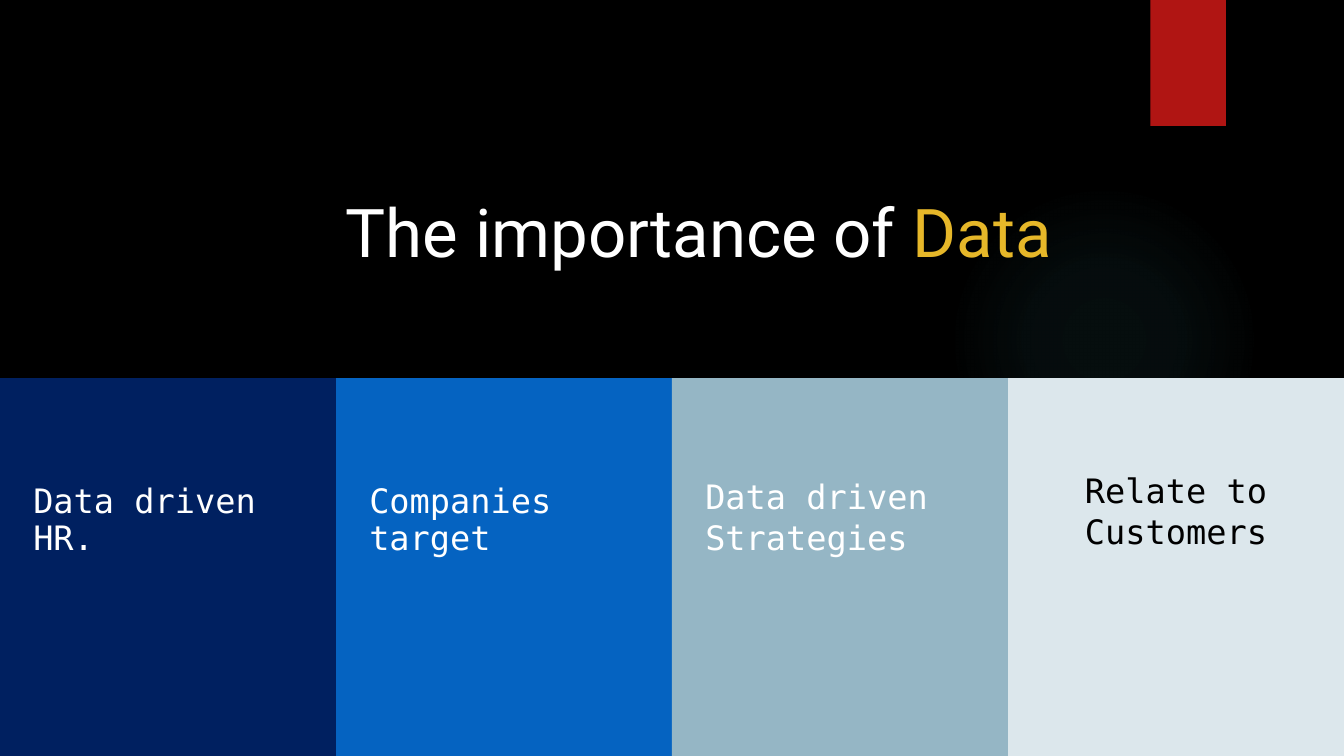
from pptx import Presentation
from pptx.dml.color import RGBColor
from pptx.enum.shapes import MSO_SHAPE
from pptx.enum.text import MSO_ANCHOR, PP_ALIGN
from pptx.oxml import parse_xml
from pptx.oxml.ns import nsdecls
from pptx.util import Inches, Pt

WIDTH, HEIGHT = 13.33, 7.5
# Panel text, fill, text colour, alignment, top inset, line pitch in points
PANELS = [
    ("Data driven HR.", "002060", "FFFFFF", PP_ALIGN.LEFT, 1.04, 26.4),
    ("Companies target", "0563C1", "FFFFFF", PP_ALIGN.LEFT, 1.04, 26.4),
    ("Data driven Strategies", "95B6C5", "FFFFFF", PP_ALIGN.LEFT, 0.96, 29.3),
    ("Relate to Customers", "DCE7EC", "000000", PP_ALIGN.CENTER, 0.9, 29.3),
]


def paint(fill, color):
    fill.solid()
    fill.fore_color.rgb = RGBColor.from_string(color)


def style(run, font, size, color):
    run.font.name = font
    run.font.size = Pt(size)
    paint(run.font.fill, color)


def add_block(slide, kind, box, color):
    shape = slide.shapes.add_shape(kind, *map(Inches, box))
    shape.shadow.inherit = False
    shape.line.fill.background()
    paint(shape.fill, color)
    return shape


def add_glow(slide, box):
    glow = add_block(slide, MSO_SHAPE.OVAL, box, "50B9C1")
    stops = "".join(
        f'<a:gs pos="{pos * 1000}"><a:srgbClr val="50B9C1">'
        f'<a:alpha val="{alpha * 1000}"/></a:srgbClr></a:gs>'
        for pos, alpha in [(0, 7), (36, 6), (69, 0)]
    )
    grad = parse_xml(
        f'<a:gradFill {nsdecls("a")}><a:gsLst>{stops}</a:gsLst><a:path path="circle">'
        '<a:fillToRect l="50000" t="50000" r="50000" b="50000"/></a:path></a:gradFill>'
    )
    props = glow.element.spPr
    props.replace(props.find("{*}solidFill"), grad)


def add_title(slide, box):
    title = slide.shapes.title
    title.left, title.top, title.width, title.height = map(Inches, box)
    # Bring the title in front of the glow
    slide.shapes[-1].element.addnext(title.element)
    frame = title.text_frame
    frame.word_wrap = True
    frame.vertical_anchor = MSO_ANCHOR.TOP
    frame.margin_left = frame.margin_right = Inches(0.1)
    frame.margin_top = frame.margin_bottom = Inches(0.1)
    para = frame.paragraphs[0]
    para.alignment = PP_ALIGN.LEFT
    para.line_spacing = 1.0
    para.space_before = Pt(0)
    for text, color in [("The importance of ", "FFFFFF"), ("Data", "E6B729")]:
        run = para.add_run()
        run.text = text
        style(run, "Roboto", 48, color)


def add_panels(slide, left, top, width, height):
    step = width / len(PANELS)
    for i, (text, fill, color, align, inset, pitch) in enumerate(PANELS):
        box = (left + i * step, top, step, height)
        panel = add_block(slide, MSO_SHAPE.RECTANGLE, box, fill)
        frame = panel.text_frame
        frame.word_wrap = True
        frame.vertical_anchor = MSO_ANCHOR.TOP
        frame.margin_left = frame.margin_right = Inches(0.33)
        frame.margin_top, frame.margin_bottom = Inches(inset), Inches(0.33)
        frame.text = text
        para = frame.paragraphs[0]
        para.alignment = align
        para.line_spacing = Pt(pitch)
        style(para.runs[0], "DejaVu Sans Mono", 24, color)


def main():
    deck = Presentation()
    deck.slide_width, deck.slide_height = Inches(WIDTH), Inches(HEIGHT)
    slide = deck.slides.add_slide(deck.slide_layouts[5])
    paint(slide.background.fill, "000000")

    # Backdrop: glow and red ribbon
    add_glow(slide, (9.41, 1.83, 3.08, 3.08))
    add_block(slide, MSO_SHAPE.RECTANGLE, (11.41, 0, 0.75, 1.25), "B01513")

    # Heading and the four panels below it
    add_title(slide, (3.33, 1.79, 7.49, 0.87))
    add_panels(slide, 0, HEIGHT / 2, WIDTH, HEIGHT / 2)
    deck.save("out.pptx")


if __name__ == "__main__":
    main()
